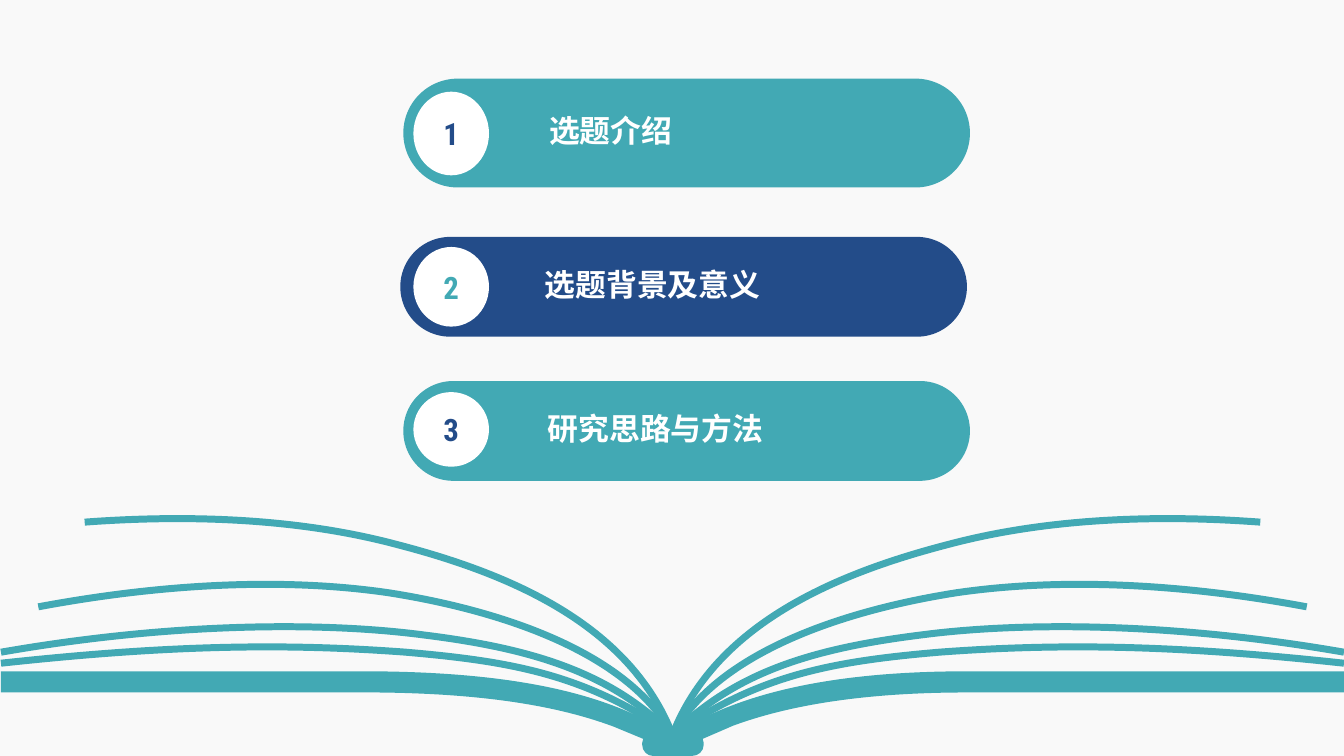
from pptx import Presentation
from pptx import util as u
from pptx.dml.color import RGBColor
from pptx.enum import shapes, text
from pptx.oxml.ns import qn
from lxml import etree
from dataclasses import dataclass

PX = u.Inches(0.01)


@dataclass(frozen=True)
class Theme:
    """Colours, fonts and type sizes of the slide."""
    paper: str = "F9F9F9"
    teal: str = "42A9B4"
    navy: str = "234C89"
    white: str = "FFFFFF"
    title: str = "Noto Sans CJK SC"
    digit: str = "Roboto Condensed"
    size: int = 22
    stroke: int = 5


T = Theme()

PAGES = [
    [(0, 0), [(62, 63), (142, 86), (246, 99)], [(344, 112), (494, 112), (666, 82)]],
    [(0, 0), [(86, 60), (160, 73), (265, 82)], [(386, 91), (500, 89), (666, 71)]],
    [(0, 0), [(45, 83), (173, 124), (282, 141)], [(378, 155), (495, 152), (629, 127)]],
    [(0, 0), [(43, 110), (162, 160), (274, 189)], [(368, 214), (475, 219), (583, 211)]],
]

COVER = [
    (-666, 63), [(-321, 63)], [(-188, 64), (-94, 49), (-27, 15)],
    [(-6, 3)], [(7, 3)], [(29, 16)], [(99, 51), (192, 63), (292, 63)],
    [(667, 63)], [(667, 42)], [(292, 42)], [(206, 42), (125, 33), (60, 9)],
    [(30, -4)], [(31, -8)], [(31, -10)], [(31, -16), (26, -21), (19, -21)],
    [(-19, -21)], [(-25, -21), (-30, -16), (-30, -10)], [(-30, -8)],
    [(-29, -4)], [(-58, 8)], [(-122, 32), (-207, 43), (-321, 42)], [(-666, 42)],
]

ROWS = [
    ("1", "选题介绍", (400, 78, 562, 108), (10, 13, 75, 83), T.teal, T.navy),
    ("2", "选题背景及意义", (397, 235, 562, 99), (13, 10, 75, 79), T.navy, T.teal),
    ("3", "研究思路与方法", (400, 378, 562, 99), (10, 11, 75, 74), T.teal, T.navy),
]


def paint(fill, tone):
    """Give a fill one solid colour."""
    fill.solid()
    fill.fore_color.rgb = RGBColor.from_string(tone)


def bend(shape, steps):
    """Turn each three-point step of an outline into one cubic curve."""
    lines = iter(list(shape._element.iter(qn("a:lnTo"))))
    for step in steps:
        parts = [next(lines) for _ in step]
        if len(step) == 3:
            curve = etree.Element(qn("a:cubicBezTo"))
            parts[0].addprevious(curve)
            for part in parts:
                curve.append(part[0])
                part.getparent().remove(part)


def draw(home, hinge, route, side=1, close=False):
    """Draw a route that is measured outward and upward from the hinge."""
    x, y = hinge
    start, *steps = route
    dots = [((x + side * a) * PX, (y - b) * PX)
            for a, b in [start, *(dot for step in steps for dot in step)]]
    pen = home.build_freeform(*dots[0], scale=1.0)
    pen.add_line_segments(dots[1:], close=close)
    shape = pen.convert_to_shape()
    shape.shadow.inherit = False
    bend(shape, steps)
    return shape


def book(slide, box):
    """Draw the open book, its hinge set above the middle of the box's foot."""
    left, top, width, height = box
    hinge = left + width // 2, top + height - 21
    leaves = slide.shapes.add_group_shape().shapes
    for side in (-1, 1):
        for route in PAGES:
            page = draw(leaves, hinge, route, side)
            page.fill.background()
            paint(page.line.fill, T.teal)
            page.line.width = u.Pt(T.stroke)
    cover = draw(slide.shapes, hinge, COVER, close=True)
    paint(cover.fill, T.teal)
    cover.line.fill.background()


def block(slide, kind, box, tone):
    """Add a plain filled shape."""
    shape = slide.shapes.add_shape(kind, *(n * PX for n in box))
    shape.shadow.inherit = False
    paint(shape.fill, tone)
    shape.line.fill.background()
    return shape


def label(slide, kind, box, tone, words, font, ink):
    """Add a filled shape with one line of bold text."""
    shape = block(slide, kind, box, tone)
    frame = shape.text_frame
    frame.text = words
    frame.vertical_anchor = text.MSO_ANCHOR.MIDDLE
    run = frame.paragraphs[0].runs[0]
    run.font.name, run.font.size, run.font.bold = font, u.Pt(T.size), True
    paint(run.font.fill, ink)
    etree.SubElement(run.font._element, qn("a:ea")).set("typeface", font)
    return shape


def row(slide, box, disc, digit, words, tone, ink):
    """Place one contents bar with its numbered disc."""
    left, top = box[:2]
    bar = label(slide, shapes.MSO_SHAPE.ROUNDED_RECTANGLE, box, tone,
                words, T.title, T.white)
    bar.adjustments[0] = 0.5
    frame = bar.text_frame
    frame.word_wrap = False
    frame.margin_left = 31 * PX
    line = frame.paragraphs[0]
    line.alignment = text.PP_ALIGN.LEFT
    line.line_spacing = 0.9
    line._p.get_or_add_pPr().set("marL", str(98 * PX))
    x, y, width, height = disc
    spot = label(slide, shapes.MSO_SHAPE.OVAL, (left + x, top + y, width, height),
                 T.white, digit, T.digit, ink)
    spot.text_frame.paragraphs[0].alignment = text.PP_ALIGN.CENTER


def main():
    """Build the contents slide and save it."""
    deck = Presentation()
    deck.slide_width, deck.slide_height = 1333 * PX, 750 * PX
    slide = deck.slides.add_slide(deck.slide_layouts[6])
    block(slide, shapes.MSO_SHAPE.RECTANGLE, (0, 0, 1333, 750), T.paper)
    book(slide, (0, 510, 1334, 240))
    for digit, words, box, disc, tone, ink in ROWS:
        row(slide, box, disc, digit, words, tone, ink)
    deck.save("out.pptx")


if __name__ == "__main__":
    main()
